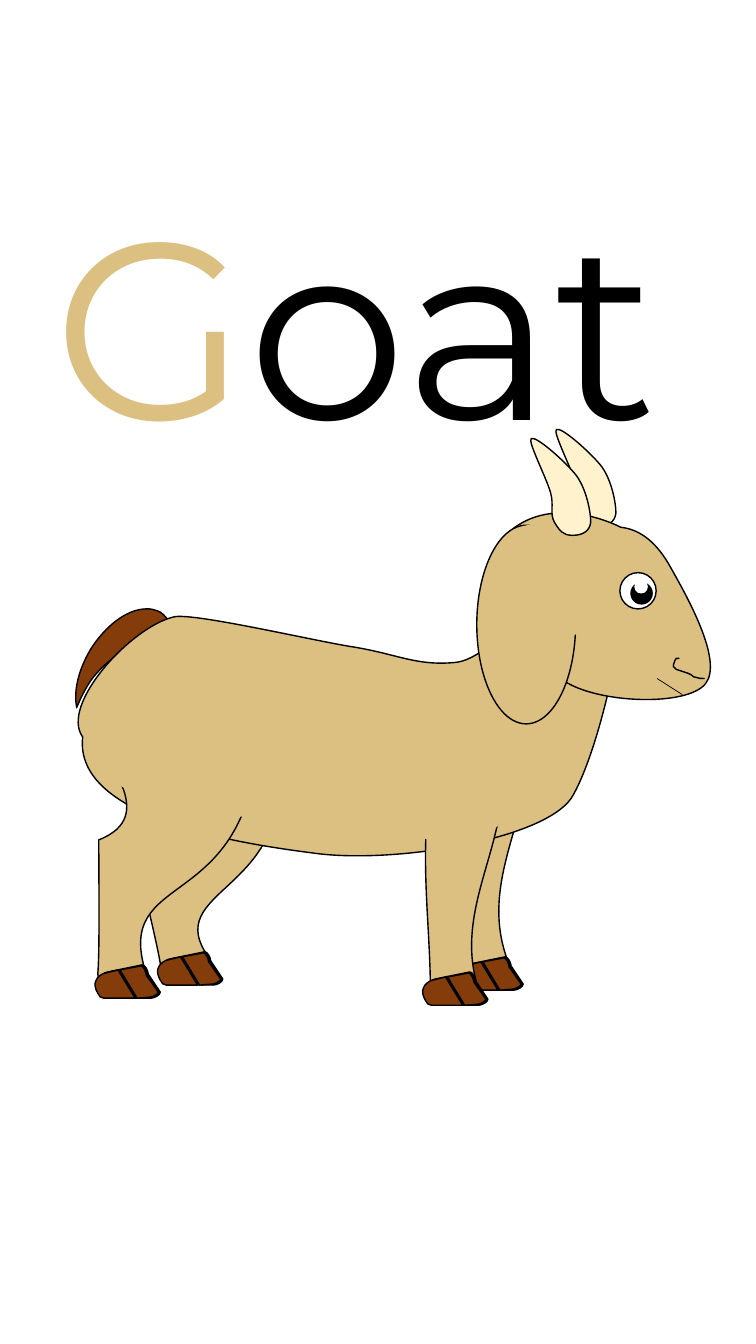
from dataclasses import dataclass, replace
from typing import Optional, Union

from lxml import etree
from pptx import Presentation, util as u
from pptx.dml.color import RGBColor
from pptx.enum import shapes, text
from pptx.oxml.ns import qn

COAT, BROWN, IVORY, BLACK, WHITE = "DCC081", "843C0B", "FFF2CC", "000000", "FFFFFF"
GRID = 2.54  # centimetres per drawing unit

Point = tuple[float, float]


@dataclass(frozen=True)
class Outline:
    """A start point, then segments: two numbers for a line, six for a curve."""
    start: Point
    segments: list[tuple[float, ...]]
    fill: Optional[str] = COAT
    closed: bool = True
    offset: Point = (0, 0)


@dataclass(frozen=True)
class Oval:
    left: float
    top: float
    width: float
    height: float
    fill: str
    line: str = BLACK
    rotation: float = 0


def length(units: float) -> u.Length:
    return u.Cm(GRID * units)


def color(hex_value: str) -> RGBColor:
    return RGBColor.from_string(hex_value)


def style(shape, fill: Optional[str], line: str) -> None:
    shape.shadow.inherit = False
    if fill:
        shape.fill.solid()
        shape.fill.fore_color.rgb = color(fill)
    else:
        shape.fill.background()
    shape.line.color.rgb = color(line)
    shape.line.width = u.Pt(1)


def draw_outline(slide, outline: Outline) -> None:
    dx, dy = outline.offset

    def place(numbers: tuple[float, ...]) -> list[tuple[int, int]]:
        return [(length(x + dx), length(y + dy)) for x, y in zip(numbers[::2], numbers[1::2])]

    segments = [place(segment) for segment in outline.segments]
    builder = slide.shapes.build_freeform(*place(outline.start)[0])
    builder.add_line_segments([segment[-1] for segment in segments], close=outline.closed)
    shape = builder.convert_to_shape()
    # Turn the straight steps that have control points into curves
    for step, segment in zip(list(shape._element.iter(qn("a:lnTo"))), segments):
        if len(segment) == 3:
            curve = etree.Element(qn("a:cubicBezTo"))
            for x, y in segment:
                etree.SubElement(curve, qn("a:pt"), x=str(x - shape.left), y=str(y - shape.top))
            step.getparent().replace(step, curve)
    style(shape, outline.fill, BLACK)


def draw_oval(slide, oval: Oval) -> None:
    box = map(length, (oval.left, oval.top, oval.width, oval.height))
    shape = slide.shapes.add_shape(shapes.MSO_SHAPE.OVAL, *box)
    shape.rotation = oval.rotation
    style(shape, oval.fill, oval.line)


def draw(slide, parts: list[Union[Outline, Oval]]) -> None:
    for part in parts:
        if isinstance(part, Oval):
            draw_oval(slide, part)
        else:
            draw_outline(slide, part)


def draw_mouth(slide) -> None:
    mouth = slide.shapes.add_connector(
        shapes.MSO_CONNECTOR.STRAIGHT, *map(length, (6.77, 6.89, 6.52, 6.73)))
    mouth.line.color.rgb = color(BLACK)
    mouth.line.width = u.Pt(0.5)
    etree.SubElement(mouth._element.spPr, qn("a:effectLst"))


def add_title(slide) -> None:
    title = slide.shapes.title
    box = dict(left=0.43, top=1.62, width=6.93, height=3.13)
    for name, value in box.items():
        setattr(title, name, length(value))
    frame = title.text_frame
    frame_format = dict(word_wrap=True, auto_size=text.MSO_AUTO_SIZE.NONE,
                        vertical_anchor=text.MSO_ANCHOR.TOP)
    for name, value in frame_format.items():
        setattr(frame, name, value)
    paragraph = frame.paragraphs[0]
    paragraph.alignment = text.PP_ALIGN.LEFT
    paragraph.line_spacing = 1.0
    for letters, hex_value in (("G", COAT), ("oat", BLACK)):
        run = paragraph.add_run()
        run.text = letters
        for name, value in dict(name="Montserrat", size=u.Pt(180), bold=False).items():
            setattr(run.font, name, value)
        run.font.color.rgb = color(hex_value)


# Legs and hooves
FAR_FRONT_LEG = Outline((5.25, 7.45), [
    (5.25, 7.4, 4.99, 7.38, 4.95, 7.38), (4.62, 7.38), (4.58, 7.38, 4.54, 7.42, 4.54, 7.46),
    (4.43, 8.19, 4.54, 8.83, 4.54, 9.51), (4.54, 9.55, 4.58, 9.59, 4.62, 9.59), (4.95, 9.59),
    (4.99, 9.59, 5.03, 9.55, 5.03, 9.51), (4.76, 8.76, 5.25, 8.13, 5.25, 7.45)])
NEAR_FRONT_LEG = replace(FAR_FRONT_LEG, offset=(-0.27, 0.34))
FAR_HIND_LEG = Outline((2.74, 7.51), [
    (2.73, 7.48, 1.61, 7.7, 1.57, 7.71), (1.25, 7.78), (1.21, 7.79, 1.18, 7.83, 1.19, 7.87),
    (1.24, 8.01, 1.94, 8.31, 1.38, 8.62), (1.45, 8.92, 1.58, 9.45, 1.6, 9.62),
    (1.61, 9.66, 1.65, 9.68, 1.7, 9.67), (2.01, 9.6), (2.06, 9.59, 2.09, 9.55, 2.08, 9.51),
    (1.56, 8.8, 2.95, 8.87, 2.74, 7.51)])
NEAR_HIND_LEG = Outline((2.56, 7.33), [
    (2.56, 7.27, 1.42, 7.22, 1.37, 7.22), (1.05, 7.22), (1, 7.22, 0.97, 7.26, 0.97, 7.31),
    (0.99, 7.51, 1.6, 8.09, 0.98, 8.33), (0.98, 8.72, 0.99, 9.43, 0.97, 9.66),
    (0.97, 9.71, 1, 9.75, 1.05, 9.75), (1.37, 9.75), (1.42, 9.75, 1.45, 9.71, 1.45, 9.66),
    (1.11, 8.6, 2.45, 9.1, 2.56, 7.33)])
HOOF = [
    Outline((1.47, 9.66), [
        (1.47, 9.63, 1.44, 9.57, 1.41, 9.57), (1.07, 9.64),
        (1.04, 9.64, 0.98, 9.69, 0.97, 9.72), (0.96, 9.76, 0.98, 9.81, 0.99, 9.84),
        (1.01, 9.87, 1.03, 9.9, 1.06, 9.9), (1.5, 9.9),
        (1.53, 9.9, 1.59, 9.87, 1.59, 9.84)], BLACK),
    Outline((1.4, 9.58), [
        (1.19, 9.62), (1.36, 9.9), (1.49, 9.89), (1.51, 9.89, 1.57, 9.86, 1.57, 9.84),
        (1.45, 9.67), (1.45, 9.64, 1.42, 9.58, 1.4, 9.58)], BROWN),
    Outline((1.17, 9.62), [
        (1.05, 9.65), (1.02, 9.65, 0.96, 9.69, 0.95, 9.73),
        (0.93, 9.76, 0.95, 9.82, 0.97, 9.85), (0.98, 9.88, 1, 9.9, 1.03, 9.9),
        (1.34, 9.9)], BROWN)]


def hoof(dx: float, dy: float) -> list[Outline]:
    return [replace(part, offset=(dx, dy)) for part in HOOF]


# Body and head
TAIL = Outline((1.43, 6.04), [
    (1.26, 6.05, 1.05, 6.2, 0.9, 6.44), (0.78, 6.64, 0.73, 6.85, 0.76, 7.01), (0.76, 7.02),
    (0.8, 6.93), (0.84, 6.85, 0.88, 6.77, 0.94, 6.7), (1.18, 6.42, 1.51, 6.29, 1.67, 6.43),
    (1.72, 6.48), (1.72, 6.39), (1.73, 6.25, 1.68, 6.13, 1.59, 6.07),
    (1.54, 6.05, 1.49, 6.03, 1.43, 6.04)], BROWN)
BODY = Outline((5.69, 7.88), [
    (5.92, 7.46, 6.11, 6.59, 6.14, 6.3), (6.17, 6.02, 5.91, 5.86, 5.67, 5.87),
    (5.48, 5.63, 4.93, 6.53, 4.52, 6.57), (4.12, 6.61, 3.93, 6.48, 3.46, 6.41),
    (3, 6.33, 1.88, 6.07, 1.72, 6.12), (1.3, 6.22, 0.59, 6.99, 0.82, 7.31),
    (0.73, 8.12, 2.37, 8.37, 3.18, 8.47), (3.99, 8.56, 5.47, 8.31, 5.69, 7.88)])
HEAD = Outline((7, 6.78), [
    (7.18, 6.55, 6.8, 5.89, 6.66, 5.64), (6.52, 5.38, 6.35, 5.25, 6.16, 5.23),
    (5.96, 5.13, 5.34, 4.9, 4.95, 5.38), (4.91, 5.59, 5.25, 6.51, 5.59, 6.75),
    (5.93, 6.98, 6.82, 7.01, 7, 6.78)])
FAR_HORN = Outline((6.11, 5.09), [
    (6.11, 4.99, 6.07, 4.77, 5.97, 4.63), (5.87, 4.5, 5.57, 4.23, 5.52, 4.26),
    (5.48, 4.28, 5.67, 4.65, 5.71, 4.79), (5.75, 4.92, 5.7, 5, 5.75, 5.09),
    (5.8, 5.17, 5.83, 5.22, 5.93, 5.22), (6.03, 5.22, 6.1, 5.18, 6.11, 5.09)], IVORY)
NEAR_HORN = replace(FAR_HORN, offset=(-0.25, 0.09))
NOSTRIL = Outline((6.99, 6.73), [
    (6.96, 6.73, 6.93, 6.73, 6.91, 6.72), (6.86, 6.71, 6.89, 6.71, 6.85, 6.69),
    (6.83, 6.68), (6.77, 6.66), (6.71, 6.64), (6.7, 6.63, 6.69, 6.63, 6.68, 6.61),
    (6.68, 6.6, 6.69, 6.55, 6.71, 6.53), (6.74, 6.53)], None, closed=False)
EAR = Oval(4.73, 5.21, 0.98, 1.97, COAT)
# Coat patches hide the seams at the ear, shoulder and hip
SEAM_PATCHES = [Oval(5.11, 5.16, 0.68, 1.19, COAT, COAT, 329.5),
                Oval(3.93, 7.23, 1.09, 1.19, COAT, COAT, 280.7),
                Oval(1.47, 6.34, 1.09, 2.35, COAT, COAT, 280.7)]
EYE = [Oval(6.15, 5.68, 0.36, 0.36, WHITE), Oval(6.26, 5.78, 0.21, 0.21, BLACK),
       Oval(6.3, 5.76, 0.12, 0.12, WHITE, WHITE)]


def main() -> None:
    presentation = Presentation()
    presentation.slide_width, presentation.slide_height = length(7.5), length(13.33)
    slide = presentation.slides.add_slide(presentation.slide_layouts[5])
    add_title(slide)
    # Goat, from back to front
    draw(slide, [TAIL, FAR_FRONT_LEG, FAR_HIND_LEG, FAR_HORN, BODY, NEAR_HIND_LEG,
                 *hoof(0, 0), *hoof(0.62, -0.13), *hoof(3.6, -0.08),
                 NEAR_FRONT_LEG, *hoof(3.25, 0.07), HEAD, NOSTRIL])
    draw_mouth(slide)
    draw(slide, [EAR, NEAR_HORN, *SEAM_PATCHES, *EYE])
    presentation.save("out.pptx")


if __name__ == "__main__":
    main()
